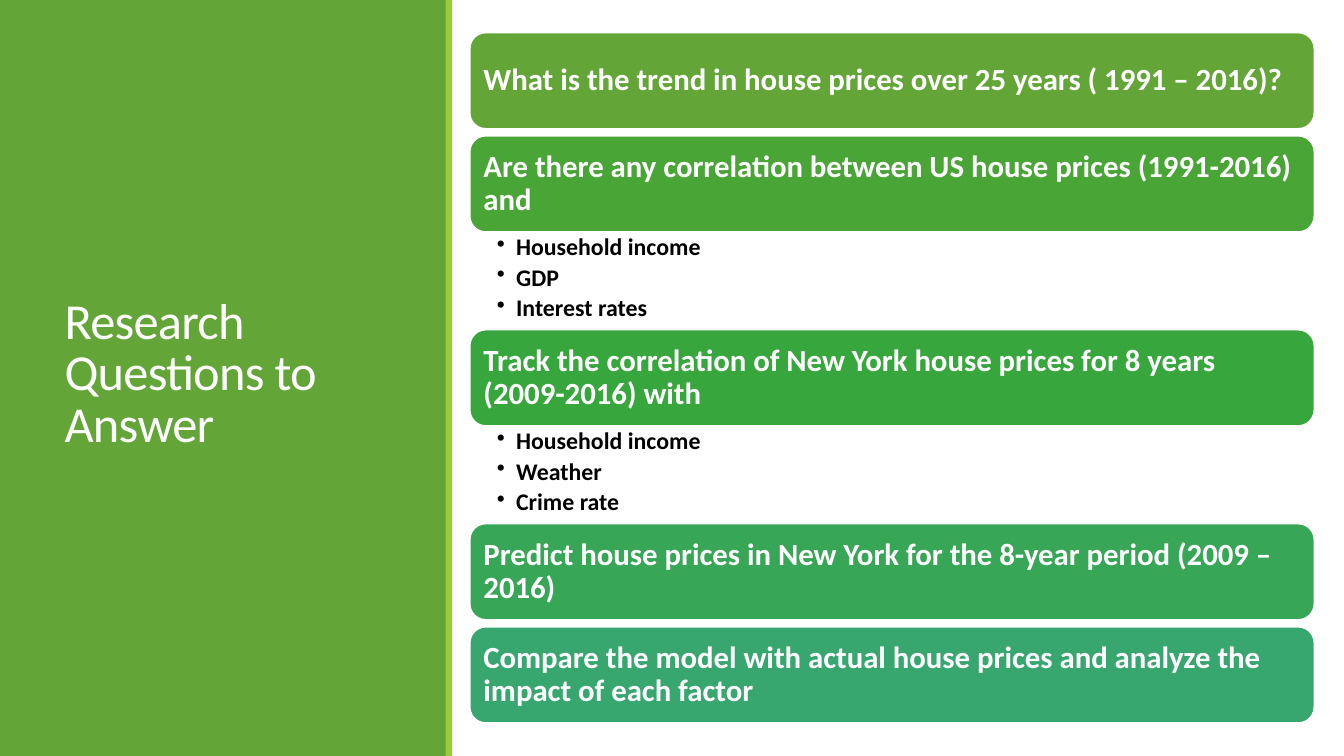
from dataclasses import dataclass

from lxml.etree import SubElement
from pptx import Presentation
from pptx.dml.color import RGBColor
from pptx.enum.shapes import MSO_SHAPE
from pptx.enum.text import MSO_ANCHOR, MSO_AUTO_SIZE, PP_ALIGN
from pptx.oxml.ns import qn
from pptx.util import Inches, Pt

SLIDE_W, SLIDE_H = 13.33, 7.5
COL, ROW = SLIDE_W / 100, SLIDE_H / 100
FONT = "Calibri"
COLORS = {
    "white": "FFFFFF",
    "black": "000000",
    "panel": "63A537",
    "stripe": "99CB38",
    "trend": "63A537",
    "national": "4AA537",
    "local": "37A63D",
    "predict": "37A656",
    "compare": "37A76F",
}

CARD_LEFT, CARD_COLS = 34.95, 62.85
CARD_TOP, CARD_ROWS = 4.3, 12.75
GAP_ROWS, LIST_ROWS = 0.9, 12.9


@dataclass(frozen=True)
class Question:
    text: str
    color: str
    factors: tuple[str, ...] = ()


QUESTIONS = (
    Question("What is the trend in house prices over 25 years ( 1991 – 2016)? ", "trend"),
    Question(
        "Are there any correlation between US house prices (1991-2016) and",
        "national",
        ("Household income", "GDP", "Interest rates"),
    ),
    Question(
        "Track the correlation of New York house prices for 8 years (2009-2016) with",
        "local",
        ("Household income", "Weather", "Crime rate"),
    ),
    Question("Predict house prices in New York for the 8-year period (2009 –2016)", "predict"),
    Question(
        "Compare the model with actual house prices and analyze the impact of each factor",
        "compare",
    ),
)


def rgb(name: str) -> RGBColor:
    return RGBColor.from_string(COLORS[name])


def grid_box(left: float, top: float, cols: float, rows: float) -> tuple:
    return (Inches(left * COL), Inches(top * ROW), Inches(cols * COL), Inches(rows * ROW))


def write(tf, *lines: str, size: float, color: str = "white", bold: bool = False,
          spacing: float = 0.9, after: float = 0, bullet: bool = False,
          tracking: int = 0, anchor=MSO_ANCHOR.MIDDLE, insets=(0.1, 0.05, 0.1, 0.05)) -> None:
    tf.word_wrap = True
    tf.auto_size = MSO_AUTO_SIZE.NONE
    tf.vertical_anchor = anchor
    tf.margin_left, tf.margin_top, tf.margin_right, tf.margin_bottom = map(Inches, insets)
    for i, line in enumerate(lines):
        p = tf.add_paragraph() if i else tf.paragraphs[0]
        p.alignment = PP_ALIGN.LEFT
        p.line_spacing = spacing
        p.space_before, p.space_after = Pt(0), Pt(after)
        if bullet:
            p.level = 1
            pPr = p._p.get_or_add_pPr()
            pPr.set("marL", str(Inches(0.19)))
            pPr.set("indent", str(-Inches(0.19)))
            SubElement(pPr, qn("a:buChar")).set("char", "•")
        r = p.add_run()
        r.text = line
        r.font.name, r.font.size, r.font.bold = FONT, Pt(size), bold
        r.font.color.rgb = rgb(color)
        if tracking:
            r._r.get_or_add_rPr().set("spc", str(tracking))


def add_block(s, kind, box: tuple, color: str, outlined: bool = False):
    sp = s.shapes.add_shape(kind, *box)
    sp.shadow.inherit = False
    sp.fill.solid()
    sp.fill.fore_color.rgb = rgb(color)
    if outlined:
        sp.line.color.rgb = rgb("white")
        sp.line.width = Pt(1.25)
    else:
        sp.line.fill.background()
    return sp


def add_side_panel(s) -> None:
    add_block(s, MSO_SHAPE.RECTANGLE, grid_box(0, 0, 33.25, 100), "panel")
    title = s.shapes.title
    title.left, title.top, title.width, title.height = grid_box(4.05, 7.6, 25.3, 84.1)
    write(title.text_frame, "Research Questions to Answer", size=36, spacing=0.85, tracking=-50)
    s.shapes.element.append(title.element)
    add_block(s, MSO_SHAPE.RECTANGLE, grid_box(33.15, 0, 0.5, 100), "stripe")


def add_questions(s, questions: tuple[Question, ...]) -> None:
    top = CARD_TOP
    for q in questions:
        box = grid_box(CARD_LEFT, top, CARD_COLS, CARD_ROWS)
        sp = add_block(s, MSO_SHAPE.ROUNDED_RECTANGLE, box, q.color, outlined=True)
        write(sp.text_frame, q.text, size=22, bold=True, after=7.7, insets=(0.09,) * 4)
        top += CARD_ROWS
        if q.factors:
            tb = s.shapes.add_textbox(*grid_box(CARD_LEFT, top, CARD_COLS, LIST_ROWS))
            write(tb.text_frame, *q.factors, size=17, color="black", bold=True, after=3.4,
                  bullet=True, anchor=MSO_ANCHOR.TOP, insets=(0.27, 0.03, 0.17, 0.03))
            top += LIST_ROWS
        else:
            top += GAP_ROWS


def main() -> None:
    prs = Presentation()
    prs.slide_width, prs.slide_height = Inches(SLIDE_W), Inches(SLIDE_H)
    s = prs.slides.add_slide(prs.slide_layouts[5])
    add_side_panel(s)
    add_questions(s, QUESTIONS)
    prs.save("out.pptx")


if __name__ == "__main__":
    main()
